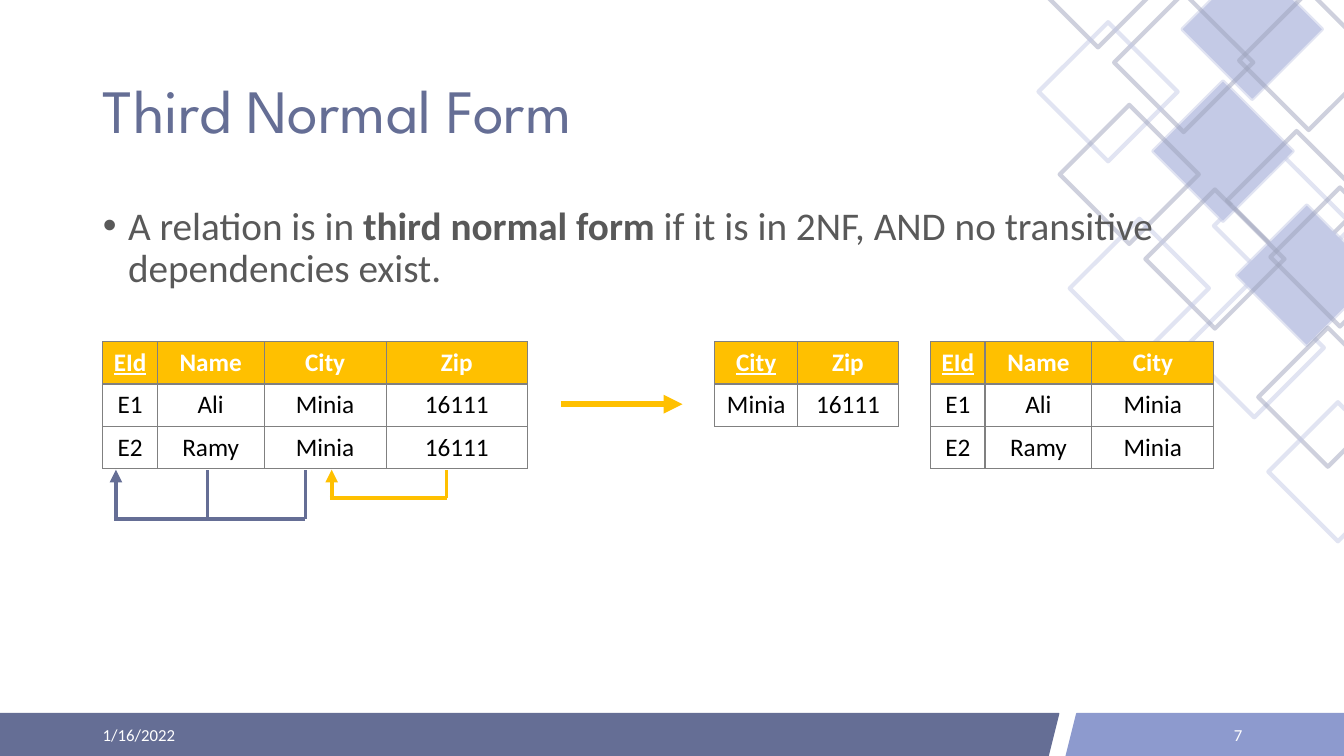
"""Build the Third Normal Form slide."""
from lxml import etree
from pptx import Presentation
from pptx import util as u
from pptx.dml.color import RGBColor
from pptx.enum import shapes, text
from pptx.oxml.ns import qn

COLORS = {"slate": "656E95", "blue": "8D9ACE", "pale": "C4CAE6",
          "gray": "9EA3BC", "gold": "FFC000", "border": "808080",
          "body": "595959", "white": "FFFFFF", "black": "000000"}
COLUMN_WIDTHS = {"EId": 0.54, "Name": 1.06, "City": 1.21, "Zip": 1.4}
EMPLOYEES = [["EId", "Name", "City", "Zip"],
             ["E1", "Ali", "Minia", "16111"],
             ["E2", "Ramy", "Minia", "16111"]]
ROW_HEIGHT = 0.42

# Offsets within one cluster of diamonds: left, top, line colour
DIAMONDS = [(1.53, 0.51, "pale"), (2.09, 0.82, "gray"), (1.24, 1.72, "pale"),
            (0.85, 0.84, "gray"), (1.97, 2.21, "gray"), (2.07, 2.95, "pale"),
            (0, 0, "gray"), (0.1, 1.13, "pale")]
FILLED_DIAMONDS = (0, 2, 5)


def rgb(name):
    """Return a palette colour."""
    return RGBColor.from_string(COLORS[name])


def add_span(para, words, size, color, font="Calibri", bold=False, underline=False):
    """Append one formatted run to a paragraph."""
    span = para.add_run()
    span.text = words
    span.font.name, span.font.size = font, u.Pt(size)
    span.font.color.rgb = rgb(color)
    span.font.bold, span.font.underline = bold, underline


def place(item, box):
    """Move an object to a left, top, width, height box in inches."""
    item.left, item.top, item.width, item.height = map(u.Inches, box)


def add_preset(page, kind, box, line, fill=None, width=1, alpha=None):
    """Add a flat preset shape with an optional fill and translucent line."""
    shape = page.shapes.add_shape(kind, *map(u.Inches, box))
    shape.shadow.inherit = False
    if fill:
        shape.fill.solid()
        shape.fill.fore_color.rgb = rgb(fill)
    else:
        shape.fill.background()
    shape.line.color.rgb = rgb(line)
    shape.line.width = u.Pt(width)
    if alpha:
        color = shape.line._get_or_add_ln().find(".//" + qn("a:srgbClr"))
        etree.SubElement(color, qn("a:alpha"), val=str(alpha * 1000))


def add_line(page, start, end, color, width, arrow=False):
    """Add a straight connector, with an arrowhead at its end if asked."""
    line = page.shapes.add_connector(shapes.MSO_CONNECTOR.STRAIGHT,
                                     *map(u.Inches, start + end))
    line.line.color.rgb = rgb(color)
    line.line.width = u.Pt(width)
    if arrow:
        etree.SubElement(line.line._get_or_add_ln(), qn("a:tailEnd"), type="triangle")
    etree.SubElement(line._element.spPr, qn("a:effectLst"))


def add_diamonds(page, left, top, filled=()):
    """Draw one cluster of overlapping diamonds."""
    for index, (across, down, color) in enumerate(DIAMONDS):
        add_preset(page, shapes.MSO_SHAPE.DIAMOND,
                   (left + across, top + down, 1.38, 1.38), color,
                   color if index in filled else None, 3, 50)


def add_footer(page, top):
    """Draw the footer bands, the date and the page number."""
    for left, width, color in ((-0.48, 10.98, "slate"), (10.57, 2.94, "blue")):
        add_preset(page, shapes.MSO_SHAPE.PARALLELOGRAM,
                   (left, top, width, 0.44), color, color)
    for left, words, align in ((0.92, "1/16/2022", text.PP_ALIGN.LEFT),
                               (9.42, "7", text.PP_ALIGN.RIGHT)):
        label = page.shapes.add_textbox(*map(u.Inches, (left, top + 0.01, 3, 0.4)))
        frame = label.text_frame
        frame.word_wrap = True
        frame.vertical_anchor = text.MSO_ANCHOR.MIDDLE
        frame.paragraphs[0].alignment = align
        add_span(frame.paragraphs[0], words, 12, "white")


def fill_title(title, box):
    """Place and write the title."""
    place(title, box)
    frame = title.text_frame
    frame.auto_size = text.MSO_AUTO_SIZE.NONE
    frame.vertical_anchor = text.MSO_ANCHOR.MIDDLE
    para = frame.paragraphs[0]
    para.alignment, para.line_spacing = text.PP_ALIGN.LEFT, 0.9
    add_span(para, "Third Normal Form", 44, "slate", "League Spartan")


def fill_body(body, box):
    """Place and write the bulleted definition."""
    place(body, box)
    body.text_frame.auto_size = text.MSO_AUTO_SIZE.NONE
    para = body.text_frame.paragraphs[0]
    para.line_spacing, para.space_before = 0.9, u.Pt(10)
    props = para._p.get_or_add_pPr()
    props.set("marL", str(u.Inches(0.25)))
    props.set("indent", str(u.Inches(-0.25)))
    etree.SubElement(props, qn("a:buFont"), typeface="Arial")
    etree.SubElement(props, qn("a:buChar"), char="•")
    for words, bold in (("A relation is in ", False), ("third normal form ", True),
                        ("if it is in 2NF, AND no transitive dependencies exist.", False)):
        add_span(para, words, 28, "body", bold=bold)


def add_borders(cell):
    """Give a cell a thin border on all four sides."""
    props = cell._tc.get_or_add_tcPr()
    for side in ("a:lnL", "a:lnR", "a:lnT", "a:lnB"):
        line = etree.SubElement(props, qn(side), w=str(u.Pt(1)))
        fill = etree.SubElement(line, qn("a:solidFill"))
        etree.SubElement(fill, qn("a:srgbClr"), val=COLORS["border"])


def add_relation(page, left, top, rows, widths):
    """Add a relation as a table whose first column is the underlined key."""
    frame = page.shapes.add_table(len(rows), len(widths), *map(
        u.Inches, (left, top, sum(widths), ROW_HEIGHT * len(rows))))
    table = frame.table
    table.first_row = table.horz_banding = False
    for column, width in zip(table.columns, widths):
        column.width = u.Inches(width)
    for r, row in enumerate(rows):
        table.rows[r].height = u.Inches(ROW_HEIGHT)
        for c, words in enumerate(row):
            cell, header = table.cell(r, c), r == 0
            add_borders(cell)
            if header:
                cell.fill.solid()
                cell.fill.fore_color.rgb = rgb("gold")
            else:
                cell.fill.background()
            cell.vertical_anchor = text.MSO_ANCHOR.MIDDLE
            para = cell.text_frame.paragraphs[0]
            para.alignment = text.PP_ALIGN.CENTER
            add_span(para, words, 18, "white" if header else "black",
                     bold=header, underline=header and c == 0)


def add_dependency(page, target, sources, top, bottom, color):
    """Draw a bracket from source columns to an arrow at the target column."""
    add_line(page, (target, bottom), (target, top), color, 3, arrow=True)
    add_line(page, (target - 0.02, bottom), (max(sources), bottom), color, 3)
    for source in sources:
        add_line(page, (source, bottom), (source, top), color, 2.25)


def add_decomposition(page, left, top):
    """Show the relation, its dependencies and the two relations it becomes."""
    widths = list(COLUMN_WIDTHS.values())
    under = top + 1.27
    add_relation(page, left, top, EMPLOYEES, widths)
    add_line(page, (left + 4.54, top + 0.62), (left + 5.75, top + 0.62),
             "gold", 4.5, arrow=True)
    add_relation(page, left + 6.07, top, [row[2:] for row in EMPLOYEES[:2]], [0.82, 1])
    add_dependency(page, left + 2.27, [left + 3.41], under, top + 1.55, "gold")
    add_dependency(page, left + 0.13, [left + 1.04, left + 2.01],
                   under, top + 1.76, "slate")
    add_relation(page, left + 8.21, top, [row[:3] for row in EMPLOYEES], widths[:3])


def build_slide(deck):
    """Compose the slide from back to front."""
    page = deck.slides.add_slide(deck.slide_layouts[1])
    title, body = page.placeholders
    add_footer(page, 7.08)
    add_diamonds(page, 10.2, -0.91, FILLED_DIAMONDS)
    add_diamonds(page, 10.51, 1.04)
    for holder in (title, body):
        page.shapes._spTree.append(holder._element)
    fill_title(title, (0.92, 0.4, 11.5, 1.45))
    fill_body(body, (0.92, 2, 11.5, 4.91))
    add_decomposition(page, 1.02, 3.39)


deck = Presentation()
deck.slide_width, deck.slide_height = u.Inches(13.33), u.Inches(7.5)
build_slide(deck)
deck.save("out.pptx")
